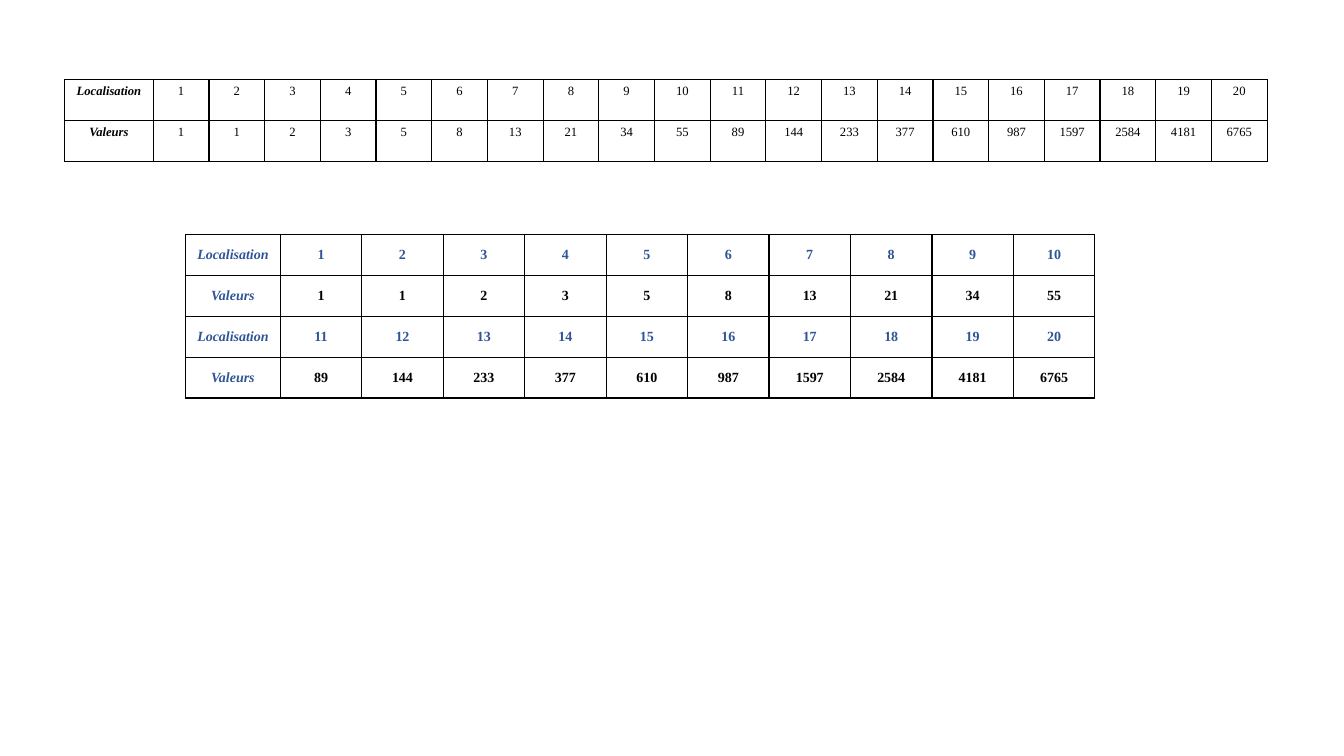
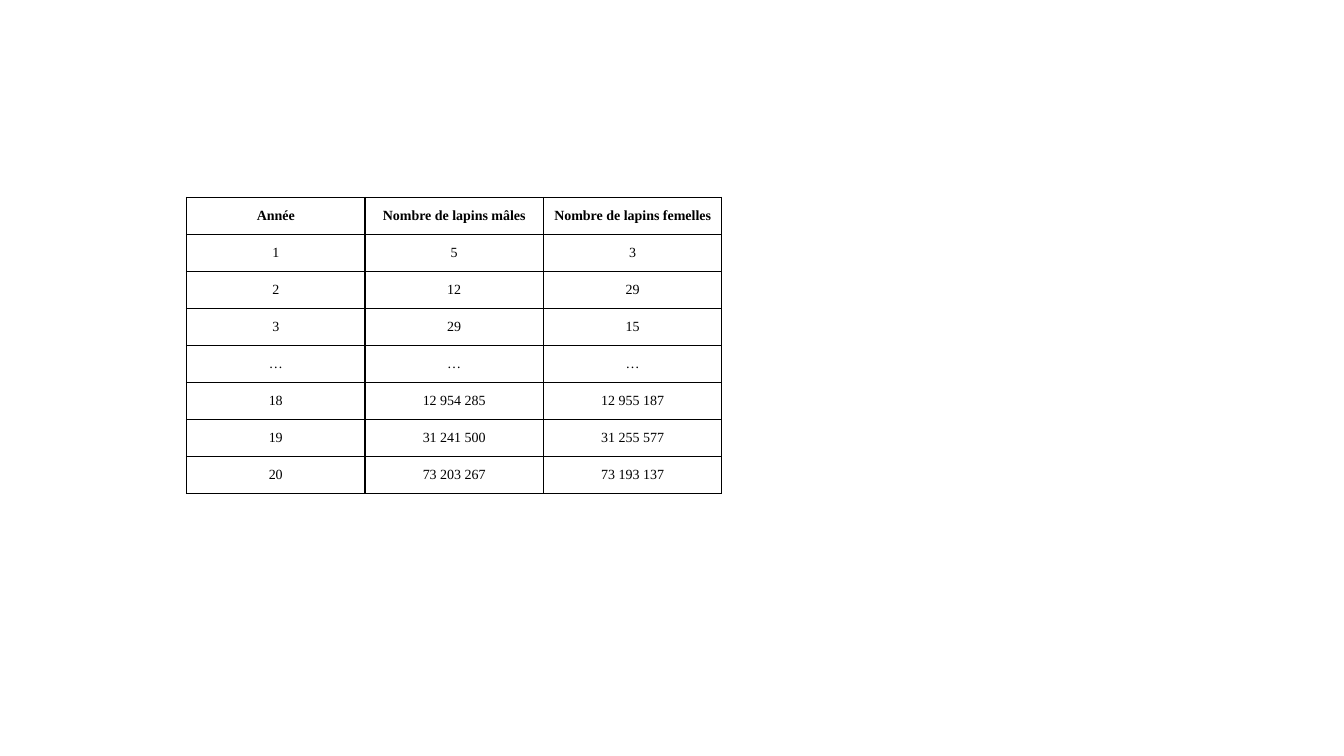
import pptx
import pptx.dml.color
import pptx.enum.text
import pptx.oxml
import pptx.oxml.ns
import pptx.util

Inches = pptx.util.Inches
Pt = pptx.util.Pt
Anchor = pptx.enum.text.MSO_ANCHOR

FONT = "Times New Roman"
COLORS = {"ink": "000000", "blue": "2F5597", "paper": "FFFFFF"}
SIDE = 0.07  # left and right cell margin, inches

# Table contents
PLACES = [str(n) for n in range(1, 21)]
VALUES = ["1", "1", "2", "3", "5", "8", "13", "21", "34", "55",
          "89", "144", "233", "377", "610", "987", "1597", "2584", "4181", "6765"]
RABBITS = [
    ["Année", "Nombre de lapins mâles", "Nombre de lapins femelles"],
    ["1", "5", "3"],
    ["2", "12", "29"],
    ["3", "29", "15"],
    ["…", "…", "…"],
    ["18", "12 954 285", "12 955 187"],
    ["19", "31 241 500", "31 255 577"],
    ["20", "73 203 267", "73 193 137"],
]


def rgb(name):
    return pptx.dml.color.RGBColor.from_string(COLORS[name])


def add_edges(cell):
    """Draw a thin line on all four sides of a cell."""
    props = cell._tc.get_or_add_tcPr()
    for side in "LRTB":
        props.append(pptx.oxml.parse_xml(
            f'<a:ln{side} {pptx.oxml.ns.nsdecls("a")} w="{Pt(1)}">'
            f'<a:solidFill><a:srgbClr val="{COLORS["ink"]}"/></a:solidFill>'
            f'</a:ln{side}>'))


def fill_cell(cell, text, size, anchor, color="ink", bold=False, italic=False):
    add_edges(cell)
    cell.fill.solid()
    cell.fill.fore_color.rgb = rgb("paper")
    cell.margin_left = cell.margin_right = Inches(SIDE)
    cell.vertical_anchor = anchor
    cell.text_frame.text = text
    para = cell.text_frame.paragraphs[0]
    para.alignment = pptx.enum.text.PP_ALIGN.CENTER
    font = para.runs[0].font
    font.name, font.size = FONT, Pt(size)
    font.bold, font.italic = bold, italic
    font.color.rgb = rgb(color)


def add_grid(slide, rows, box, first, size, style, anchor=Anchor.MIDDLE):
    """Add a table; style(row, col) gives the font options of a cell."""
    left, top, width, height = box
    count = len(rows[0])
    table = slide.shapes.add_table(
        len(rows), count, Inches(left), Inches(top),
        Inches(width), Inches(height)).table
    table.first_row = table.horz_banding = False

    # First column has its own width; the others share the rest
    rest = (width - first) / (count - 1)
    for c, column in enumerate(table.columns):
        column.width = Inches(rest if c else first)
    for r, row in enumerate(rows):
        table.rows[r].height = Inches(height / len(rows))
        for c, text in enumerate(row):
            fill_cell(table.cell(r, c), text, size, anchor, **style(r, c))


def label_style(row, col):
    return {"bold": col == 0, "italic": col == 0}


def pair_style(row, col):
    blue = col == 0 or row % 2 == 0
    return {"color": "blue" if blue else "ink", "bold": True, "italic": col == 0}


def head_style(row, col):
    return {"bold": row == 0}


def pair_rows(step):
    """Split places and values into pairs of labelled rows."""
    rows = []
    for start in range(0, len(PLACES), step):
        part = slice(start, start + step)
        rows += [["Localisation"] + PLACES[part], ["Valeurs"] + VALUES[part]]
    return rows


def main():
    deck = pptx.Presentation()
    deck.slide_width, deck.slide_height = Inches(13.33), Inches(7.5)
    blank = deck.slide_layouts[6]

    # Slide 1: the sequence in one strip, then in two
    slide = deck.slides.add_slide(blank)
    add_grid(slide, pair_rows(20), (0.64, 0.79, 11.93, 0.81), 0.88, 9,
             label_style, Anchor.TOP)
    add_grid(slide, pair_rows(10), (1.84, 2.33, 9.02, 1.62), 0.94, 10, pair_style)

    # Slide 2: rabbits per year
    slide = deck.slides.add_slide(blank)
    add_grid(slide, RABBITS, (1.85, 1.96, 5.31, 2.94), 1.77, 10, head_style)

    deck.save("out.pptx")


if __name__ == "__main__":
    main()
